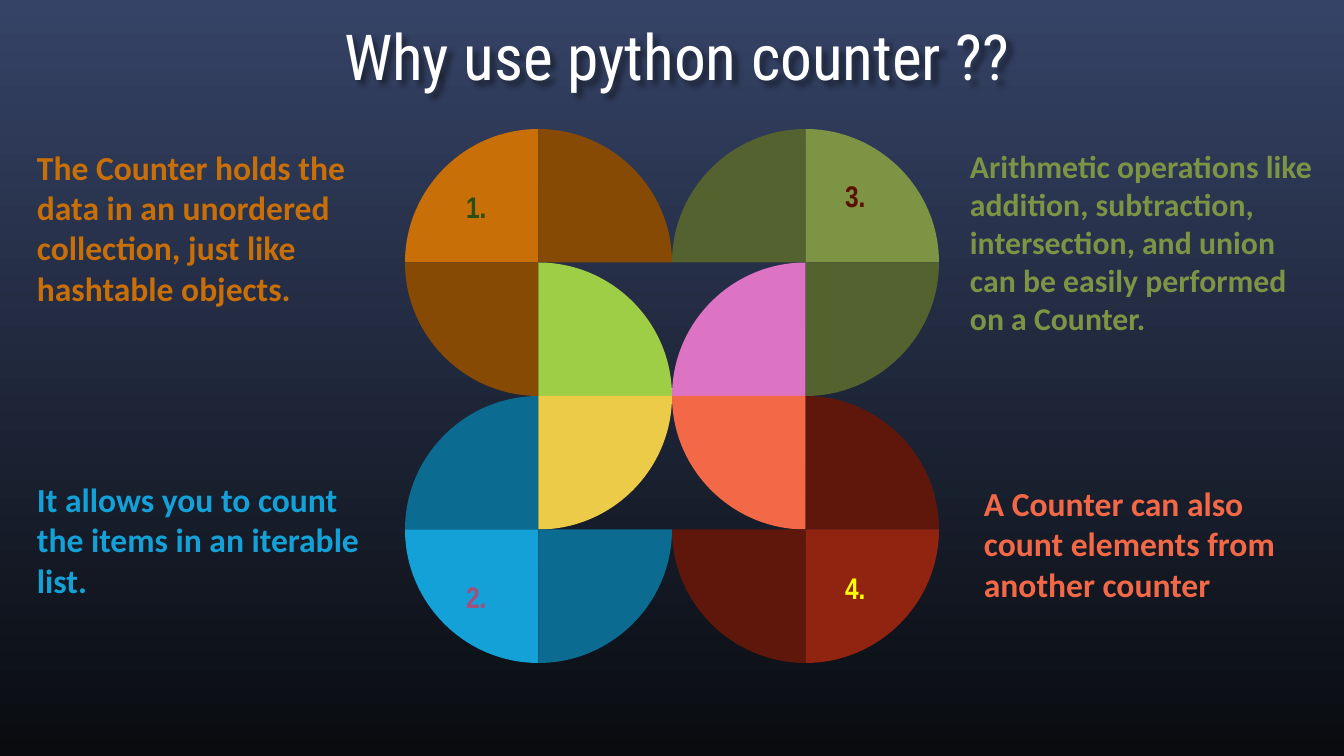
import math

import lxml.etree
import pptx
import pptx.dml.color
import pptx.enum.text
import pptx.oxml
import pptx.oxml.ns
import pptx.util

WIDE, HIGH = 1344, 756
LEFT, TOP, SIDE = 405, 129, 534
BEND = 0.55
ALIGN = pptx.enum.text.PP_ALIGN
ANCHOR = pptx.enum.text.MSO_ANCHOR
SHADOW = (
    f'<a:effectLst {pptx.oxml.ns.nsdecls("a")}>'
    '<a:outerShdw blurRad="38100" dist="38100" dir="2700000">'
    '<a:srgbClr val="000000"><a:alpha val="43000"/></a:srgbClr>'
    '</a:outerShdw></a:effectLst>'
)

# Each tile: fill, and quarter of the disc (0 lower right, then clockwise)
TILES = [
    [("C96F07", 2), ("864A04", 3), ("53622E", 2), ("7D9445", 3)],
    [("864A04", 1), ("9ECE46", 3), ("DD73C3", 2), ("53622E", 0)],
    [("0C6B90", 2), ("ECCB49", 0), ("F36846", 1), ("60170B", 3)],
    [("13A1D8", 1), ("0C6B90", 0), ("60170B", 1), ("902411", 0)],
]
NOTES = [
    ("The Counter holds the data in an unordered collection, "
     "just like hashtable objects.",
     (37, 164, 323, 149), 18, "C96F07", ANCHOR.BOTTOM),
    ("It allows you to count the items in an iterable list.",
     (37, 450, 323, 179), 18, "13A1D8", ANCHOR.MIDDLE),
    ("Arithmetic operations like addition, subtraction, intersection, "
     "and union can be easily performed on a Counter.",
     (970, 164, 347, 178), 17, "7D9445", ANCHOR.BOTTOM),
    ("A Counter can also count elements from another counter",
     (984, 459, 323, 169), 18, "F36846", ANCHOR.MIDDLE),
]
MARKS = [
    ("1.", 453, 176, "274E13"),
    ("2.", 453, 566, "A64D79"),
    ("3.", 832, 165, "5B0F00"),
    ("4.", 832, 557, "FFFF00"),
]


def emu(px):
    return pptx.util.Emu(round(px * 914400 / 134.4))


def color(code):
    return pptx.dml.color.RGBColor.from_string(code)


def bend(shape):
    """Turn the second side of a three-point outline into a round arc."""
    hub, start, end = [(int(pt.get("x")), int(pt.get("y")))
                       for pt in shape._element.xpath(".//a:pt")]
    side = shape._element.xpath(".//a:lnTo")[1]
    curve = lxml.etree.Element(pptx.oxml.ns.qn("a:cubicBezTo"))
    near = [s + BEND * (e - h) for h, s, e in zip(hub, start, end)]
    far = [e + BEND * (s - h) for h, s, e in zip(hub, start, end)]
    for x, y in (near, far, end):
        lxml.etree.SubElement(curve, pptx.oxml.ns.qn("a:pt"),
                              x=str(round(x)), y=str(round(y)))
    side.getparent().replace(side, curve)


class Deck:
    def __init__(self):
        self.file = pptx.Presentation()
        self.file.slide_width = emu(WIDE)
        self.file.slide_height = emu(HIGH)
        self.slide = self.file.slides.add_slide(self.file.slide_layouts[6])

    def back(self, top, base):
        fill = self.slide.background.fill
        fill.gradient()
        fill.gradient_angle = 270
        for stop, code, place in zip(fill.gradient_stops, (top, base), (0, 1)):
            stop.color.rgb = color(code)
            stop.position = place

    def text(self, words, box, font, size, code, bold=True,
             anchor=ANCHOR.TOP, align=ALIGN.LEFT, inset=(0, 5, 0, 5)):
        shape = self.slide.shapes.add_textbox(*map(emu, box))
        frame = shape.text_frame
        frame.word_wrap = True
        frame.vertical_anchor = anchor
        (frame.margin_left, frame.margin_top,
         frame.margin_right, frame.margin_bottom) = map(emu, inset)
        para = frame.paragraphs[0]
        para.text = words
        para.alignment = align
        para.font.name = font
        para.font.size = pptx.util.Pt(size)
        para.font.bold = bold
        para.font.color.rgb = color(code)
        return shape

    def title(self, words, box):
        shape = self.text(words, box, "Roboto Condensed", 34, "FFFFFF",
                          bold=False, align=ALIGN.CENTER, inset=(9, 6, 0, 5))
        shape.text_frame.paragraphs[0].line_spacing = 0.9
        shape._element.spPr.append(pptx.oxml.parse_xml(SHADOW))

    def tile(self, row, col, code, turn):
        """Draw a quarter disc whose right angle is at a corner of its cell."""
        size = SIDE / 4
        x = LEFT + size * (col + (turn in (1, 2)))
        y = TOP + size * (row + (turn in (2, 3)))
        ends = []
        for quarter in (turn, turn + 1):
            angle = math.pi / 2 * quarter
            ends.append((emu(x + size * math.cos(angle)),
                         emu(y + size * math.sin(angle))))
        outline = self.slide.shapes.build_freeform(emu(x), emu(y))
        outline.add_line_segments(ends, close=True)
        shape = outline.convert_to_shape()
        bend(shape)
        shape.shadow.inherit = False
        shape.fill.solid()
        shape.fill.fore_color.rgb = color(code)
        shape.line.fill.background()


def main():
    deck = Deck()
    deck.back("354366", "090B0F")
    deck.title("Why use python counter ??", (254, 20, 837, 67))
    for row, line in enumerate(TILES):
        for col, (code, turn) in enumerate(line):
            deck.tile(row, col, code, turn)
    for words, box, size, code, anchor in NOTES:
        deck.text(words, box, "Calibri", size, code, anchor=anchor)
    for words, x, y, code in MARKS:
        deck.text(words, (x, y, 55, 63), "Arial Narrow", 16, code,
                  inset=(13, 13, 13, 13))
    deck.file.save("out.pptx")


if __name__ == "__main__":
    main()
